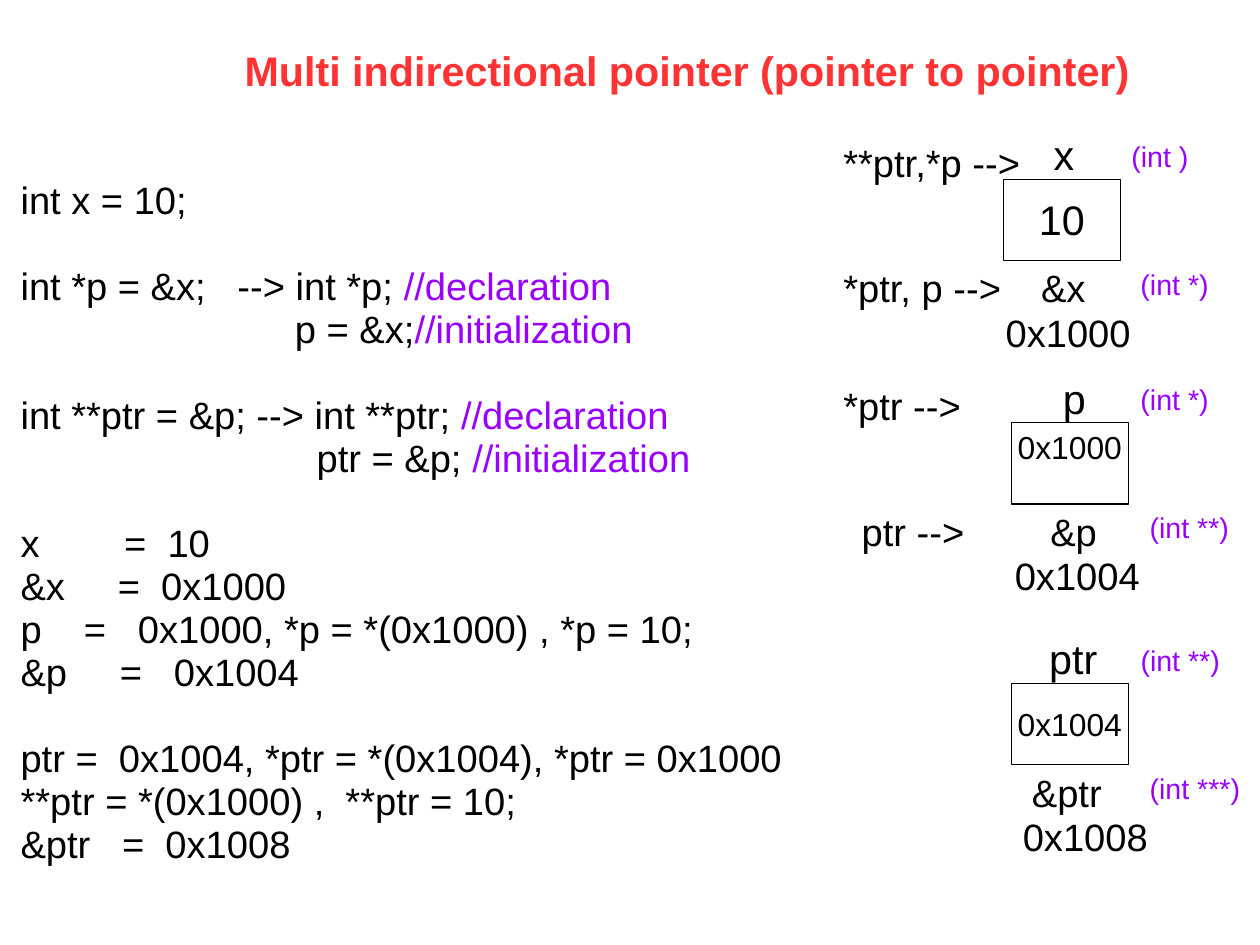
from pptx import Presentation
from pptx.dml.color import RGBColor
from pptx.enum.shapes import MSO_SHAPE as Shape
from pptx.enum.text import MSO_ANCHOR as Anchor, MSO_AUTO_SIZE as AutoSize, PP_ALIGN as Align
from pptx.oxml.ns import qn
from pptx.util import Cm, Pt
from lxml.etree import SubElement

PX = 9144  # 100 px to the inch
BLACK, RED, PURPLE, WHITE = "000000", "FF3333", "9900FF", "FFFFFF"
LINE_SPACING = 0.94
CODE_PITCH = Pt(27)


def place(shape, left, top, width, height, wrap, inset_top=7, anchor=Anchor.TOP):
    shape.left, shape.top, shape.width, shape.height = [
        value * PX for value in (left, top, width, height)]
    frame = shape.text_frame
    frame.auto_size = AutoSize.NONE
    frame.word_wrap = wrap
    frame.vertical_anchor = anchor
    frame.margin_left = frame.margin_right = 10 * PX
    frame.margin_top, frame.margin_bottom = inset_top * PX, 5 * PX
    return frame.paragraphs[0]


def write(paragraph, text, size, color=BLACK, bold=False, align=Align.LEFT,
          spacing=LINE_SPACING):
    paragraph.alignment = align
    paragraph.line_spacing = spacing
    run = paragraph.add_run()
    run.text = text
    run.font.name, run.font.size, run.font.bold = "Arial", Pt(size), bold
    run.font.color.rgb = RGBColor.from_string(color)


presentation = Presentation()
presentation.slide_width, presentation.slide_height = Cm(28), Cm(21)
slide = presentation.slides.add_slide(presentation.slide_layouts[1])
title, code = slide.placeholders

# Title
write(place(title, 204, 36, 810, 50, True),
      "Multi indirectional pointer (pointer to pointer)", 26, RED, bold=True)

# Code: gap above, indent, runs
code_lines = [
    (False, 0, [("int x = 10;", BLACK)]),
    (True, 0, [("int *p = &x;   --> int *p; ", BLACK), ("//declaration", PURPLE)]),
    (False, 240, [("p = &x;", BLACK), ("//initialization", PURPLE)]),
    (True, 0, [("int **ptr = &p; --> int **ptr; ", BLACK), ("//declaration", PURPLE)]),
    (False, 259, [("ptr = &p; ", BLACK), ("//initialization", PURPLE)]),
    (True, 0, [("x        =  10", BLACK)]),
    (False, 0, [("&x     =  0x1000", BLACK)]),
    (False, 0, [("p    =   0x1000, *p = *(0x1000) , *p = 10;", BLACK)]),
    (False, 0, [("&p     =   0x1004", BLACK)]),
    (True, 0, [("ptr =  0x1004, *ptr = *(0x1004), *ptr = 0x1000", BLACK)]),
    (False, 0, [("**ptr = *(0x1000) ,  **ptr = 10;", BLACK)]),
    (False, 0, [("&ptr   =  0x1008", BLACK)]),
]
paragraph = place(code, 8, 150, 835, 648, True)
for number, (gap, indent, runs) in enumerate(code_lines):
    if number:
        paragraph = code.text_frame.add_paragraph()
    paragraph.space_before = CODE_PITCH if gap else Pt(0)
    properties = paragraph._p.get_or_add_pPr()
    properties.set("marL", str(indent * PX))
    properties.set("indent", "0")
    SubElement(properties, qn("a:buNone"))
    for text, color in runs:
        write(paragraph, text, 24, color, spacing=CODE_PITCH)

# Memory cells: left, top, content, size, anchor, then labels around the cell
# Each label: text, left, width
cells = [
    (878, 157, "10", 26, Anchor.MIDDLE,
     ("x", 912, 48), ("&x", 901, 71), ("0x1000", 870, 142),
     ("(int )", 980, 70), ("(int *)", 988, 80)),
    (885, 370, "0x1000", 20, Anchor.TOP,
     ("p", 920, 50), ("&p", 909, 71), ("0x1004", 878, 142),
     ("(int *)", 988, 80), ("(int **)", 996, 89)),
    (885, 598, "0x1004", 20, Anchor.MIDDLE,
     ("ptr", 908, 72), ("&ptr", 893, 87), ("0x1008", 885, 142),
     ("(int **)", 988, 89), ("(int ***)", 996, 99)),
]
# Offset from the cell top, height, size, colour, top inset
label_styles = [
    (-47, 50, 26, BLACK, 7),
    (71, 47, 24, BLACK, 7),
    (110, 47, 24, BLACK, 7),
    (-39, 38, 18, PURPLE, 6),
    (73, 38, 18, PURPLE, 6),
]
for left, top, content, size, anchor, *labels in cells:
    cell = slide.shapes.add_shape(Shape.RECTANGLE, 0, 0, 0, 0)
    cell.shadow.inherit = False
    cell.fill.solid()
    cell.fill.fore_color.rgb = RGBColor.from_string(WHITE)
    cell.line.color.rgb = RGBColor.from_string(BLACK)
    cell.line.width = Pt(0.75)
    write(place(cell, left, top, 102, 71, False, anchor=anchor),
          content, size, align=Align.CENTER)
    for (text, label_left, width), style in zip(labels, label_styles):
        offset, height, label_size, color, inset = style
        label = slide.shapes.add_textbox(0, 0, 0, 0)
        write(place(label, label_left, top + offset, width, height, color == BLACK, inset),
              text, label_size, color)

# Expressions that lead to the cells
for text, left, top, width in [
    ("**ptr,*p -->", 728, 118, 184),
    ("*ptr, p -->", 728, 228, 167),
    ("*ptr -->", 728, 331, 132),
    ("ptr -->", 744, 441, 119),
]:
    expression = slide.shapes.add_textbox(0, 0, 0, 0)
    write(place(expression, left, top, width, 47, True), text, 24)

presentation.save("out.pptx")
